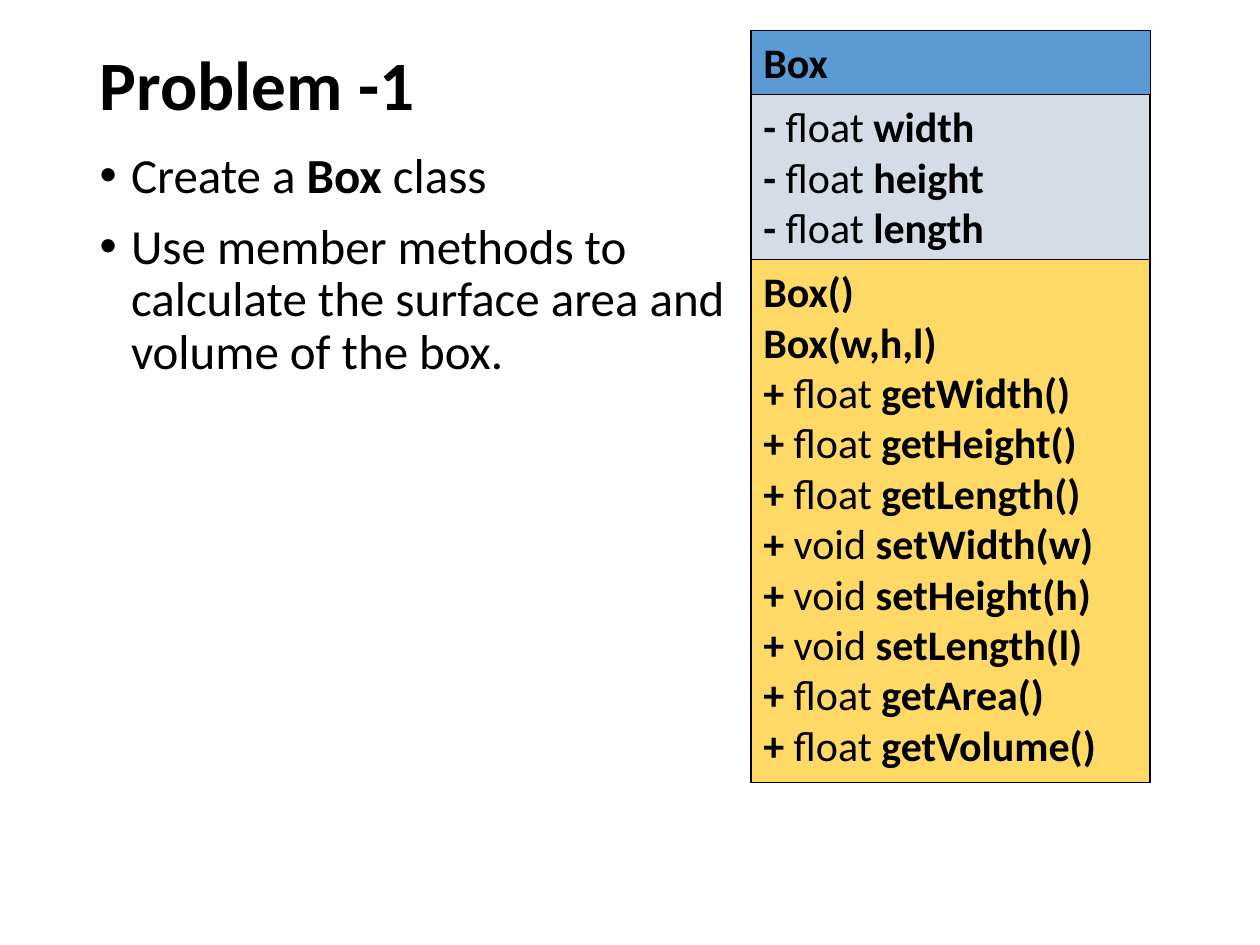
"""Build the Box class exercise slide with its UML class diagram."""
from pptx import Presentation
from pptx.dml.color import RGBColor
from pptx.enum.shapes import MSO_SHAPE
from pptx.enum.text import MSO_ANCHOR, MSO_AUTO_SIZE, PP_ALIGN
from pptx.util import Inches, Pt

BLACK = RGBColor(0x00, 0x00, 0x00)
BLUE = RGBColor(0x5B, 0x9B, 0xD5)
GREY = RGBColor(0xD6, 0xDC, 0xE5)
YELLOW = RGBColor(0xFF, 0xD9, 0x66)

ATTRIBUTES = ["width", "height", "length"]
CONSTRUCTORS = ["Box()", "Box(w,h,l)"]
METHODS = [
    ("float", "getWidth()"),
    ("float", "getHeight()"),
    ("float", "getLength()"),
    ("void", "setWidth(w)"),
    ("void", "setHeight(h)"),
    ("void", "setLength(l)"),
    ("float", "getArea()"),
    ("float", "getVolume()"),
]


def member(sign, kind, name):
    return [(f"{sign} ", True), (f"{kind} ", False), (name, True)]


class SlideBuilder:
    font_name = "Calibri"

    def __init__(self, presentation):
        self.slide = presentation.slides.add_slide(presentation.slide_layouts[1])
        self.diagram = self.slide.shapes.add_group_shape()

    def place(self, shape, left, top, width, height):
        shape.left, shape.top = Inches(left), Inches(top)
        shape.width, shape.height = Inches(width), Inches(height)

    def add_lines(self, text_frame, lines, size):
        for index, line in enumerate(lines):
            paragraph = text_frame.paragraphs[0] if index == 0 else text_frame.add_paragraph()
            paragraph.alignment = PP_ALIGN.LEFT
            for text, bold in line:
                run = paragraph.add_run()
                run.text = text
                run.font.name = self.font_name
                run.font.size = Pt(size)
                run.font.bold = bold
                run.font.color.rgb = BLACK

    def title(self, text, *box):
        shape = self.slide.shapes.title
        self.place(shape, *box)
        text_frame = shape.text_frame
        text_frame.auto_size = MSO_AUTO_SIZE.NONE
        text_frame.vertical_anchor = MSO_ANCHOR.MIDDLE
        self.add_lines(text_frame, [[(text, True)]], 39.6)
        text_frame.paragraphs[0].line_spacing = 0.9

    def bullets(self, lines, *box):
        shape = self.slide.placeholders[1]
        self.place(shape, *box)
        text_frame = shape.text_frame
        text_frame.auto_size = MSO_AUTO_SIZE.NONE
        self.add_lines(text_frame, lines, 28)
        for paragraph in text_frame.paragraphs:
            paragraph.line_spacing = 0.9
            paragraph.space_before = Pt(10)
            properties = paragraph._p.get_or_add_pPr()
            properties.set("marL", str(Inches(0.25)))
            properties.set("indent", str(-Inches(0.25)))

    def compartment(self, lines, top, height, fill, line_width=1):
        shape = self.diagram.shapes.add_shape(
            MSO_SHAPE.RECTANGLE, Inches(5.96), Inches(top), Inches(3.17), Inches(height)
        )
        shape.shadow.inherit = False
        shape.fill.solid()
        shape.fill.fore_color.rgb = fill
        shape.line.color.rgb = BLACK
        shape.line.width = Pt(line_width)
        text_frame = shape.text_frame
        text_frame.word_wrap = True
        text_frame.auto_size = MSO_AUTO_SIZE.SHAPE_TO_FIT_TEXT
        text_frame.vertical_anchor = MSO_ANCHOR.TOP
        self.add_lines(text_frame, lines, 24)


def main():
    presentation = Presentation()
    presentation.slide_width = Inches(10)
    presentation.slide_height = Inches(7.5)
    builder = SlideBuilder(presentation)

    builder.title("Problem -1", 0.69, 0.4, 8.62, 0.59)
    builder.bullets(
        [
            [("Create a ", False), ("Box", True), (" class", False)],
            [("Use member methods to calculate the surface area and volume of the box.", False)],
        ],
        0.69, 1.15, 5.46, 2.66,
    )

    attributes = [member("-", "float", name) for name in ATTRIBUTES]
    constructors = [[(name, True)] for name in CONSTRUCTORS]
    methods = [member("+", kind, name) for kind, name in METHODS]
    builder.compartment(attributes, 0.75, 1.32, GREY)
    builder.compartment(constructors + methods, 2.06, 4.15, YELLOW)
    builder.compartment([[("Box", True)]], 0.24, 0.51, BLUE, line_width=0.75)

    presentation.save("out.pptx")


if __name__ == "__main__":
    main()
